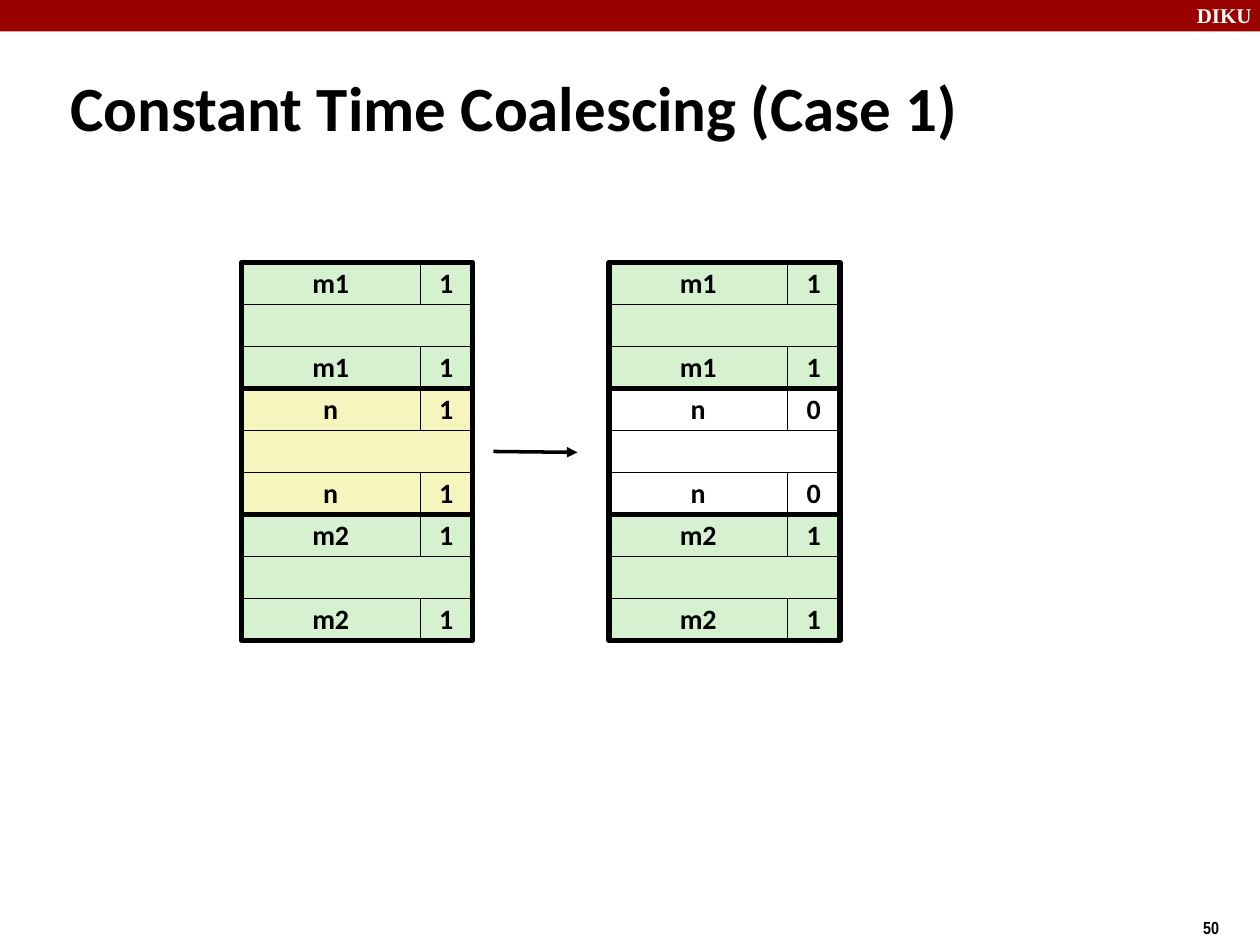
from lxml import etree
from pptx import Presentation
from pptx import util as u
from pptx.dml.color import RGBColor
from pptx.enum import shapes, text
from pptx.oxml.ns import qn

Pt = u.Pt

TITLE = "Constant Time Coalescing (Case 1)"
SCHOOL = "DIKU"
PAGE = "50"
HEAPS = [
    [("m1", "1", "green"), ("n", "1", "yellow"), ("m2", "1", "green")],
    [("m1", "1", "green"), ("n", "0", "white"), ("m2", "1", "green")],
]

THEME = {
    "red": "990000", "green": "D5F1CF", "yellow": "F6F5BD",
    "white": "FFFFFF", "black": "000000",
    "body": "Calibri", "school": "Times New Roman", "page": "Arial Narrow",
    "title_size": 36, "cell_size": 16, "school_size": 12, "page_size": 10,
    "thin": 0.25, "thick": 3, "arrow": 2,
}

HEAP_LEFT, HEAP_TOP, HEAP_STEP = 138, 150, 210
SIZE_WIDTH, FLAG_WIDTH, ROW = 102, 30, 24
BLOCK_WIDTH, BLOCK_HEIGHT = SIZE_WIDTH + FLAG_WIDTH, 3 * ROW


def color(name):
    return RGBColor.from_string(THEME[name])


def write(shape, words, font, size, ink="black"):
    paragraph = shape.text_frame.paragraphs[0]
    paragraph.text = words
    paragraph.font.name = THEME[font]
    paragraph.font.size = Pt(THEME[size])
    paragraph.font.bold = True
    paragraph.font.color.rgb = color(ink)
    return paragraph


def add_label(slide, box, words, font, size, ink="black"):
    label = slide.shapes.add_textbox(*map(Pt, box))
    label.text_frame.word_wrap = True
    write(label, words, font, size, ink)
    return label


def add_box(slide, box, fill=None, line=None):
    rect = slide.shapes.add_shape(shapes.MSO_SHAPE.RECTANGLE, *map(Pt, box))
    rect.shadow.inherit = False
    if fill:
        rect.fill.solid()
        rect.fill.fore_color.rgb = color(fill)
    else:
        rect.fill.background()
    if line:
        rect.line.color.rgb = color("black")
        rect.line.width = Pt(THEME[line])
    else:
        rect.line.fill.background()
    return rect


def add_cell(slide, box, words, fill):
    cell = add_box(slide, box, fill, "thin")
    cell.text_frame.word_wrap = False
    cell.text_frame.vertical_anchor = text.MSO_ANCHOR.MIDDLE
    paragraph = write(cell, words, "body", "cell_size")
    paragraph.alignment = text.PP_ALIGN.CENTER
    paragraph.line_spacing = 0.98


def add_block(slide, left, top, size, flag, fill):
    for tag_top in (top, top + 2 * ROW):
        add_cell(slide, (left, tag_top, SIZE_WIDTH, ROW), size, fill)
        add_cell(slide, (left + SIZE_WIDTH, tag_top, FLAG_WIDTH, ROW), flag, fill)
    add_box(slide, (left, top + ROW, BLOCK_WIDTH, ROW), fill, "thin")
    add_box(slide, (left, top, BLOCK_WIDTH, BLOCK_HEIGHT), line="thick")


def add_arrow(slide, *ends):
    arrow = slide.shapes.add_connector(shapes.MSO_CONNECTOR.STRAIGHT, *map(Pt, ends))
    arrow.line.color.rgb = color("black")
    arrow.line.width = Pt(THEME["arrow"])
    etree.SubElement(arrow.line._get_or_add_ln(), qn("a:tailEnd"), type="triangle")
    etree.SubElement(arrow._element.spPr, qn("a:effectLst"))


def main():
    deck = Presentation()
    deck.slide_width, deck.slide_height = Pt(720), Pt(540)
    slide = deck.slides.add_slide(deck.slide_layouts[6])

    add_box(slide, (0, 0, 720, 18), "red")
    add_label(slide, (676.8, -2.2, 48.2, 21.6), SCHOOL, "school", "school_size", "white")
    add_label(slide, (680.4, 520.6, 54, 20.9), PAGE, "page", "page_size")
    title = add_label(slide, (33, 38, 654, 45), TITLE, "body", "title_size")
    title.text_frame.vertical_anchor = text.MSO_ANCHOR.MIDDLE

    for column, heap in enumerate(HEAPS):
        for row, block in enumerate(heap):
            add_block(slide, HEAP_LEFT + column * HEAP_STEP,
                      HEAP_TOP + row * BLOCK_HEIGHT, *block)

    add_arrow(slide, 282, 258, 330, 258.5)
    deck.save("out.pptx")


if __name__ == "__main__":
    main()
